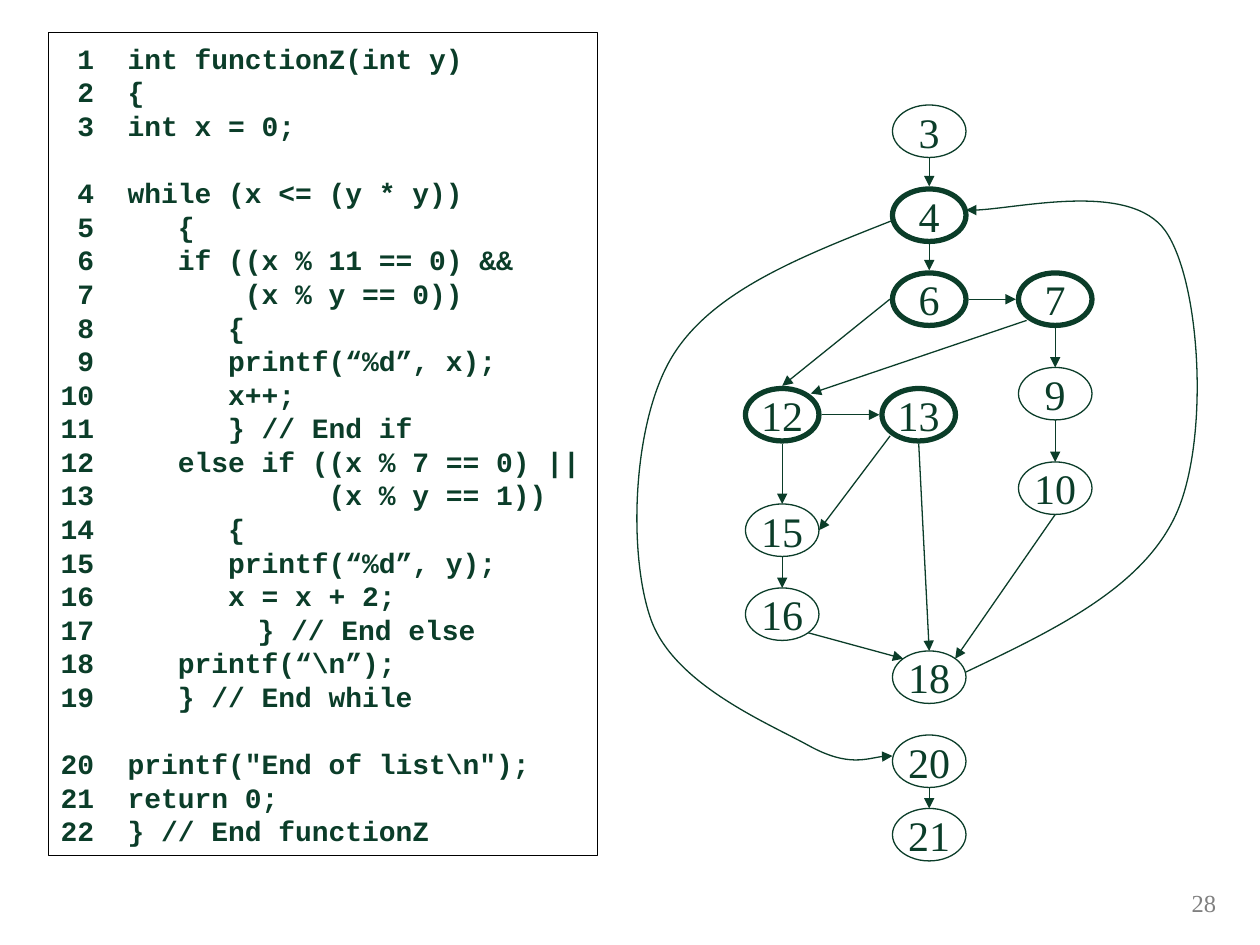
from typing import NamedTuple
from lxml.etree import SubElement as Sub
from pptx import Presentation
from pptx.dml.color import RGBColor
from pptx.enum.shapes import MSO_CONNECTOR as Link, MSO_SHAPE as Kind
from pptx.enum.text import MSO_ANCHOR as Anchor, PP_ALIGN as Align
from pptx.oxml.ns import qn
from pptx.util import Inches, Pt

GREEN = RGBColor(0x0B, 0x3D, 0x29)
BLACK = RGBColor(0, 0, 0)
GRAY = RGBColor(0x80, 0x80, 0x80)
SERIF, MONO = "Times New Roman", "Courier New"
COLS, ROWS = 120, 90  # grid over the slide
WIDE, HIGH = 7, 5  # node size in grid cells
THIN, THICK = 0.75, 3
PITCH = 19.2  # code line height in points


class Node(NamedTuple):
    name: str
    col: float
    row: float
    bold: bool = False


class Edge(NamedTuple):
    start: str
    out: str
    end: str
    into: str


NODES = [
    Node("3", 85, 10), Node("4", 85, 18, True), Node("6", 85, 26, True),
    Node("7", 97, 26, True), Node("9", 97, 35), Node("10", 97, 44),
    Node("12", 71, 37, True), Node("13", 84, 37, True),
    Node("15", 71, 48), Node("16", 71, 56),
    Node("18", 85, 62), Node("20", 85, 70), Node("21", 85, 77),
]
EDGES = [
    Edge("3", "s", "4", "n"), Edge("4", "s", "6", "n"),
    Edge("6", "e", "7", "w"), Edge("7", "s", "9", "n"),
    Edge("9", "s", "10", "n"), Edge("10", "s", "18", "ne"),
    Edge("6", "w", "12", "n"), Edge("7", "sw", "12", "ne"),
    Edge("12", "s", "15", "n"), Edge("12", "e", "13", "w"),
    Edge("13", "sw", "15", "e"), Edge("13", "s", "18", "n"),
    Edge("15", "s", "16", "n"), Edge("16", "se", "18", "nw"),
    Edge("20", "s", "21", "n"),
]
# Start point, then three points for each Bezier piece
CURVES = [
    [(92, 64), (100.4, 60), (108.8, 56), (112, 49), (115.2, 42),
     (114.4, 26.9), (111, 22), (107.6, 17.2), (95.2, 20.3), (92, 20)],
    [(85, 21), (76.4, 24.4), (67.8, 27.7), (64, 34), (60.2, 40.3),
     (59.8, 52.8), (62, 59), (64.2, 65.2), (73.2, 68.9), (77, 71),
     (80.8, 73.1), (83.6, 71.9), (85, 72)],
]
CODE = r"""
 1  int functionZ(int y)
 2  {
 3  int x = 0;

 4  while (x <= (y * y))
 5     {
 6     if ((x % 11 == 0) &&
 7         (x % y == 0))
 8        {
 9        printf(“%d”, x);
10        x++;
11        } // End if
12     else if ((x % 7 == 0) ||
13              (x % y == 1))
14        {
15        printf(“%d”, y);
16        x = x + 2;
17        } // End else
18     printf(“\n”);
19     } // End while

20  printf("End of list\n");
21  return 0;
22  } // End functionZ
""".strip("\n").split("\n")

deck = Presentation()
deck.slide_width, deck.slide_height = Inches(10), Inches(7.5)
slide = deck.slides.add_slide(deck.slide_layouts[6])
shapes = slide.shapes


def gx(col: float) -> int:
    return round(deck.slide_width * col / COLS)


def gy(row: float) -> int:
    return round(deck.slide_height * row / ROWS)


def write(para, text: str, *, size: float, font: str = SERIF,
          color: RGBColor = GREEN, bold: bool = False, align=Align.LEFT):
    para.alignment = align
    run = para.add_run()
    run.text = text
    run.font.size, run.font.name, run.font.bold = Pt(size), font, bold
    run.font.color.rgb = color


def shape(kind, col: float, row: float, wide: float, high: float,
          color: RGBColor, line: float):
    item = shapes.add_shape(kind, gx(col), gy(row), gx(wide), gy(high))
    item.shadow.inherit = False
    item.fill.background()
    item.line.color.rgb, item.line.width = color, Pt(line)
    return item


def arrow(item):
    item.line.color.rgb, item.line.width = GREEN, Pt(THIN)
    Sub(item.line._get_or_add_ln(), qn("a:tailEnd"), type="triangle")


def port(node: Node, side: str) -> tuple[int, int]:
    """Point on the rim of a node, in a compass direction."""
    dx = ("e" in side) - ("w" in side)
    dy = ("s" in side) - ("n" in side)
    part = 0.707 if dx and dy else 1
    gap = 0.25 if node.bold else 0
    return (gx(node.col + WIDE / 2 + dx * (WIDE / 2 * part + gap)),
            gy(node.row + HIGH / 2 + dy * (HIGH / 2 * part + gap)))


def join(start: Node, out: str, end: Node, into: str):
    item = shapes.add_connector(Link.STRAIGHT, *port(start, out),
                                *port(end, into))
    arrow(item)
    Sub(item._element.spPr, qn("a:effectLst"))


def curve(points: list[tuple[float, float]]):
    spots = [(gx(x), gy(y)) for x, y in points]
    pen = shapes.build_freeform(*spots[0])
    pen.add_line_segments(spots[1:], close=False)
    item = pen.convert_to_shape()
    item.shadow.inherit = False
    item.fill.background()
    # Turn each three line points into one cubic piece
    track = item._element.spPr.find(".//" + qn("a:path"))
    steps = track.findall(qn("a:lnTo"))
    for i in range(0, len(steps), 3):
        bend = Sub(track, qn("a:cubicBezTo"))
        for step in steps[i:i + 3]:
            bend.append(step[0])
            track.remove(step)
    arrow(item)


def listing():
    box = shape(Kind.RECTANGLE, 4.6, 3.1, 52.3, 78.4, BLACK, THIN)
    frame = box.text_frame
    frame.word_wrap, frame.vertical_anchor = True, Anchor.TOP
    frame.margin_top = Inches(0.07)
    para, skip = frame.paragraphs[0], False
    for n, text in enumerate(CODE):
        if not text:
            skip = True
            continue
        para = frame.add_paragraph() if n else para
        para.line_spacing = Pt(PITCH)
        para.space_before = Pt(PITCH if skip else 0)
        skip = False
        props = para._p.get_or_add_pPr()
        props.set("marL", str(Inches(0.5)))
        props.set("indent", str(-Inches(0.5)))
        if text.startswith("17"):  # the one auto-numbered line
            Sub(props, qn("a:buFont"), typeface=MONO)
            Sub(props, qn("a:buAutoNum"), type="arabicPlain", startAt="17")
            text = text[4:].rjust(len(text) - 2)
        write(para, text, size=16, font=MONO, bold=True)


# Page number
page = shapes.add_textbox(gx(111.2), gy(84), gx(5.8), gy(4)).text_frame
page.word_wrap = True
write(page.paragraphs[0], "28", size=14, color=GRAY, align=Align.RIGHT)

# Code listing
listing()

# Flow graph
for node in NODES:
    oval = shape(Kind.OVAL, node.col, node.row, WIDE, HIGH, GREEN,
                 THICK if node.bold else THIN)
    frame = oval.text_frame
    frame.word_wrap, frame.vertical_anchor = False, Anchor.MIDDLE
    write(frame.paragraphs[0], node.name, size=24, align=Align.CENTER)

named = {node.name: node for node in NODES}
for edge in EDGES:
    join(named[edge.start], edge.out, named[edge.end], edge.into)
for points in CURVES:
    curve(points)

deck.save("out.pptx")
